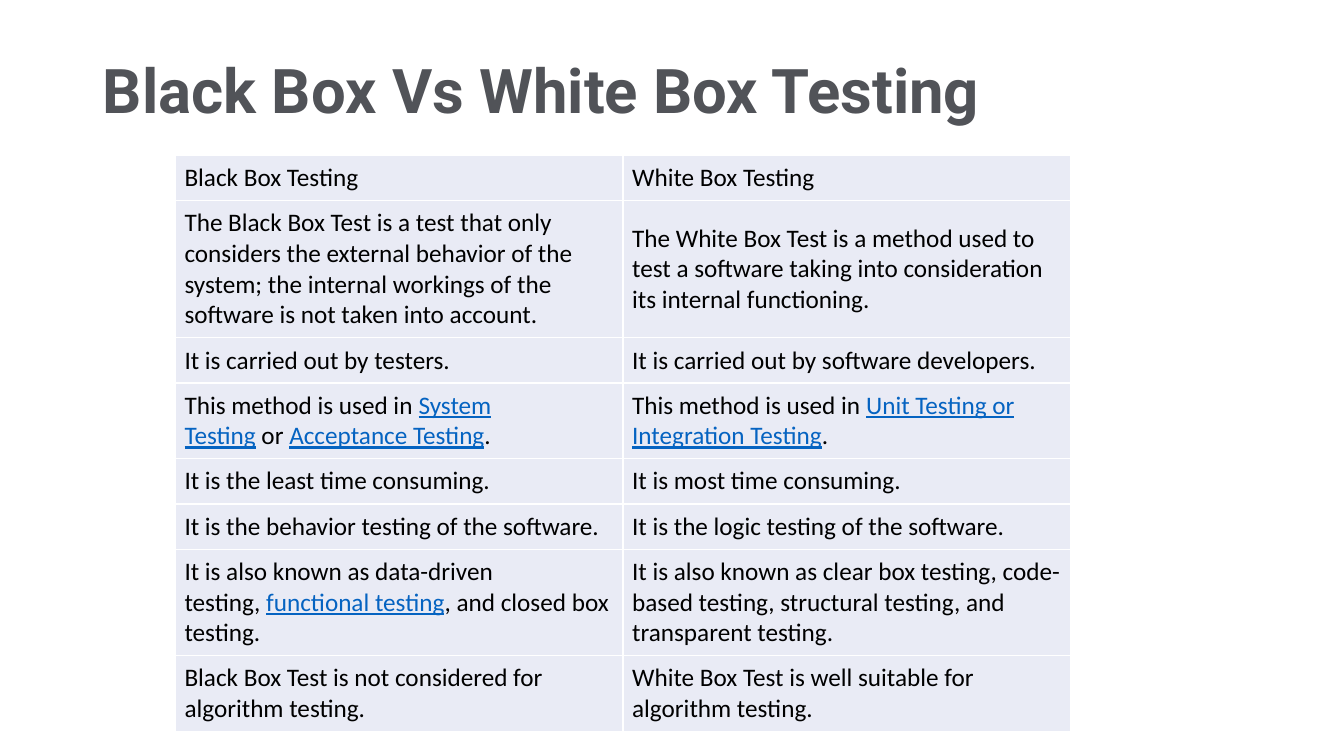
from dataclasses import dataclass

from lxml import etree
from pptx import Presentation
from pptx import util as u
from pptx.dml.color import RGBColor
from pptx.enum import text
from pptx.oxml import ns

PX = 9144  # 100 px to the inch
HARD = chr(160)  # no-break space, marked "~" in the wording
INK, LINK, GREY, WHITE, BAND = "000000", "0563C1", "515358", "FFFFFF", "E9EBF5"
LEFT, TOP, WIDE = 174, 154, 444
LINE, PAD_X, PAD_Y = 30, 9, 7


@dataclass(frozen=True)
class Link:
    words: str


Part = str | Link


@dataclass(frozen=True)
class Row:
    lines: int
    black: tuple[Part, ...]
    white: tuple[Part, ...]


ROWS = [
    Row(1, ("Black Box Testing",), ("White Box Testing",)),
    Row(4, ("The Black Box Test is a test that only considers the external behavior of the "
            "system; the internal workings of the software is not taken into account.",),
        ("The White Box Test is a method used to test a software taking into consideration "
         "its internal functioning.",)),
    Row(1, ("It is carried out by testers.",),
        ("It is carried out by software developers.",)),
    Row(2, ("This method is used in~", Link("System Testing"), "~or~",
            Link("Acceptance Testing"), "."),
        ("This method is used in~", Link("Unit Testing or Integration Testing"), ".")),
    Row(1, ("It is the least time consuming.",), ("It is most time consuming.",)),
    Row(1, ("It is the behavior testing of the software.",),
        ("It is the logic testing of the software.",)),
    Row(3, ("It is also known as data-driven testing,~", Link("functional testing"),
            ", and closed box testing."),
        ("It is also known as clear box testing, code-based testing, structural testing, "
         "and transparent testing.",)),
    Row(2, ("Black Box Test is not considered for algorithm testing.",),
        ("White Box Test is well suitable for algorithm testing.",)),
]


def px(n: int) -> u.Emu:
    return u.Emu(n * PX)


def tint(code: str) -> RGBColor:
    return RGBColor.from_string(code)


def write(para, words: str, *, size: int = 18, face: str = "Calibri",
          color: str = INK, bold: bool = False, under: bool = False) -> None:
    run = para.add_run()
    run.text = words.replace("~", HARD)
    font = run.font
    font.size, font.name = u.Pt(size), face
    font.bold, font.underline = bold, under
    font.color.rgb = tint(color)


def edge(cell) -> None:
    """Draw a thin white border on all four sides."""
    props = cell._tc.get_or_add_tcPr()
    for spot, side in enumerate(("lnL", "lnR", "lnT", "lnB")):
        line = etree.Element(ns.qn(f"a:{side}"), w=str(u.Pt(1)))
        fill = etree.SubElement(line, ns.qn("a:solidFill"))
        etree.SubElement(fill, ns.qn("a:srgbClr"), val=WHITE)
        props.insert(spot, line)


def fill_cell(cell, parts: tuple[Part, ...]) -> None:
    cell.fill.solid()
    cell.fill.fore_color.rgb = tint(BAND)
    cell.vertical_anchor = text.MSO_ANCHOR.MIDDLE
    cell.margin_left = cell.margin_right = px(PAD_X)
    cell.margin_top = cell.margin_bottom = px(PAD_Y)
    para = cell.text_frame.paragraphs[0]
    for part in parts:
        if isinstance(part, Link):
            write(para, part.words, color=LINK, under=True)
        else:
            write(para, part)
    edge(cell)


def add_title(slide) -> None:
    title = slide.shapes.title
    title.left, title.top, title.width, title.height = map(px, (92, 0, 1150, 185))
    frame = title.text_frame
    frame.word_wrap = True
    frame.vertical_anchor = text.MSO_ANCHOR.MIDDLE
    para = frame.paragraphs[0]
    para.alignment = text.PP_ALIGN.LEFT
    para.line_spacing = 0.9
    write(para, "Black Box Vs White Box Testing",
          size=44, face="Roboto", color=GREY, bold=True)


def add_grid(slide) -> None:
    highs = [row.lines * LINE + 2 * PAD_Y + 1 for row in ROWS]
    grid = slide.shapes.add_table(len(ROWS), 2, px(LEFT), px(TOP),
                                  px(2 * WIDE), px(sum(highs))).table
    grid.first_row = grid.horz_banding = False
    for col in grid.columns:
        col.width = px(WIDE)
    for line, row, high in zip(grid.rows, ROWS, highs):
        line.height = px(high)
        for cell, parts in zip(line.cells, (row.black, row.white)):
            fill_cell(cell, parts)


def main() -> None:
    deck = Presentation()
    deck.slide_width, deck.slide_height = px(1333), px(750)
    slide = deck.slides.add_slide(deck.slide_layouts[5])
    add_title(slide)
    add_grid(slide)
    deck.save("out.pptx")


if __name__ == "__main__":
    main()
